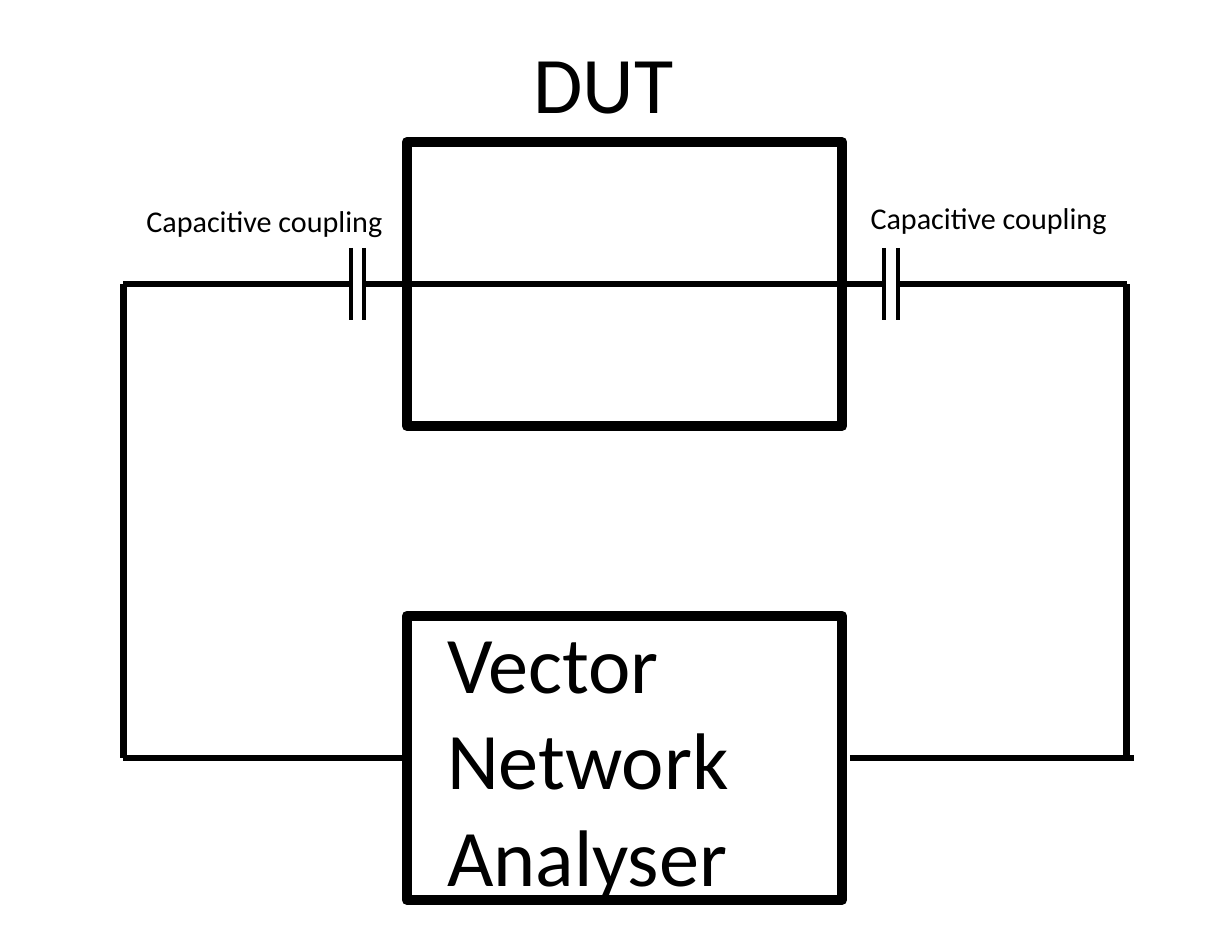
from dataclasses import dataclass

from lxml import etree
from pptx import Presentation
from pptx.dml.color import RGBColor
from pptx.enum import shapes, text
from pptx.oxml import ns
from pptx.util import Pt


@dataclass(frozen=True)
class Theme:
    ink: RGBColor = RGBColor(0, 0, 0)
    font: str = "Calibri"
    name_size: float = 24
    label_size: float = 9
    box_line: float = 3
    wire_line: float = 2
    plate_line: float = 1.25


THEME = Theme()

# Content: text, (left, top, width, height), format
LABELS = [
    ("Vector Network Analyser", (126.7, 180, 124.6, 94.3), {"size": THEME.name_size}),
    ("DUT", (152.6, 6.5, 67.7, 36), {"size": THEME.name_size}),
    ("Capacitive coupling", (36.7, 56.9, 86.4, 18), {"size": THEME.label_size, "wrap": False}),
    ("Capacitive coupling", (253.4, 56.2, 86.4, 18), {"size": THEME.label_size, "wrap": False}),
]

# Circuit geometry in points
BOX_LEFT, BOX_WIDTH, BOX_HEIGHT = 121.7, 130.3, 85
DUT_TOP, ANALYSER_TOP = 42.5, 184.3
LOOP_LEFT, LOOP_RIGHT = 36.9, 337.1
LEFT_PLATES, RIGHT_PLATES = (105.1, 109), (264.6, 268.6)
PLATE_HALF = 10.8

signal_y = DUT_TOP + BOX_HEIGHT / 2
return_y = ANALYSER_TOP + BOX_HEIGHT / 2

WIRES = [
    (LEFT_PLATES[1], signal_y, RIGHT_PLATES[0], signal_y),
    (RIGHT_PLATES[1], signal_y, LOOP_RIGHT, signal_y),
    (LOOP_RIGHT, signal_y, LOOP_RIGHT, return_y),
    (LOOP_LEFT, signal_y, LEFT_PLATES[0], signal_y),
    (LOOP_LEFT, signal_y, LOOP_LEFT, return_y),
    (LOOP_LEFT, return_y, BOX_LEFT, return_y),
    (254.3, return_y, 339.2, return_y),
]


def add_box(slide, top):
    shape = slide.shapes.add_shape(
        shapes.MSO_SHAPE.RECTANGLE, Pt(BOX_LEFT), Pt(top), Pt(BOX_WIDTH), Pt(BOX_HEIGHT))
    shape.shadow.inherit = False
    shape.fill.background()
    shape.line.color.rgb = THEME.ink
    shape.line.width = Pt(THEME.box_line)


def add_line(slide, ends, width):
    connector = slide.shapes.add_connector(
        shapes.MSO_CONNECTOR.STRAIGHT, *(Pt(value) for value in ends))
    connector.line.color.rgb = THEME.ink
    connector.line.width = Pt(width)
    etree.SubElement(connector._element.spPr, ns.qn("a:effectLst"))


def add_text(slide, words, place, *, size, wrap=True):
    box = slide.shapes.add_textbox(*(Pt(value) for value in place))
    frame = box.text_frame
    frame.word_wrap = wrap
    frame.auto_size = text.MSO_AUTO_SIZE.SHAPE_TO_FIT_TEXT
    paragraph = frame.paragraphs[0]
    run = paragraph.add_run()
    run.text = words
    run.font.name = THEME.font
    run.font.size = Pt(size)
    run.font.color.rgb = THEME.ink


def main():
    presentation = Presentation()
    presentation.slide_width, presentation.slide_height = Pt(368.6), Pt(283.7)
    slide = presentation.slides.add_slide(presentation.slide_layouts[6])

    # Device under test and analyser
    for top in (DUT_TOP, ANALYSER_TOP):
        add_box(slide, top)

    # Measurement loop
    for ends in WIRES:
        add_line(slide, ends, THEME.wire_line)

    # Capacitor plates
    for x in LEFT_PLATES + RIGHT_PLATES:
        add_line(slide, (x, signal_y - PLATE_HALF, x, signal_y + PLATE_HALF), THEME.plate_line)

    # Names and labels
    for words, place, style in LABELS:
        add_text(slide, words, place, **style)

    presentation.save("out.pptx")


if __name__ == "__main__":
    main()
